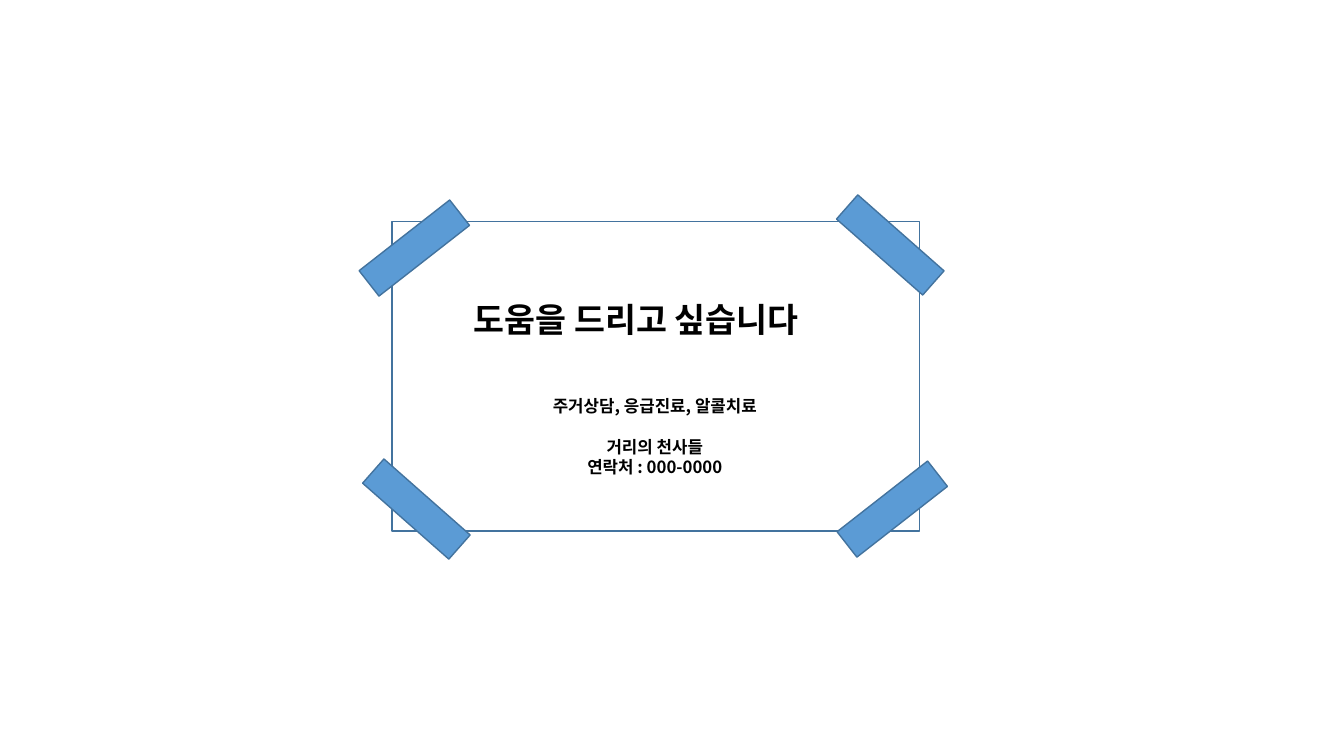
import pptx
import pptx.dml.color
import pptx.enum.shapes
import pptx.enum.text
import pptx.oxml
import pptx.oxml.ns
import pptx.util
from pptx.util import Inches, Pt

FONT = "Noto Sans CJK KR"
BLACK, BLUE, OUTLINE = "000000", "5B9BD5", "43739E"

TITLE = "도움을 드리고 싶습니다"
DETAILS = ["주거상담, 응급진료, 알콜치료", "거리의 천사들", "연락처 : 000-0000"]

CARD = (3.89, 2.2, 5.23, 3.07)
TITLE_AREA = (4.6, 2.92, 3.81, 0.5)
DETAILS_AREA = (5.28, 3.87, 2.43, 0.91)
TAPE_SIZE = (1.14, 0.32)
TAPES = [  # left, top, rotation
    (3.54, 2.3, 322),
    (8.28, 4.89, 322),
    (8.26, 2.27, 221.4),
    (3.56, 4.89, 221.4),
]
LINE_PITCH = 14.6


def color(value):
    return pptx.dml.color.RGBColor.from_string(value)


def add_rectangle(page, area, fill=None, rotation=0):
    box = page.shapes.add_shape(
        pptx.enum.shapes.MSO_SHAPE.RECTANGLE, *map(Inches, area))
    box.shadow.inherit = False
    box.rotation = rotation
    if fill:
        box.fill.solid()
        box.fill.fore_color.rgb = color(fill)
    else:
        box.fill.background()
    box.line.color.rgb = color(OUTLINE)
    box.line.width = Pt(1)


def write_lines(box, lines, size, alignment):
    frame = box.text_frame
    frame.text = "\n".join(lines)
    frame.word_wrap = True
    frame.auto_size = pptx.enum.text.MSO_AUTO_SIZE.NONE
    frame.vertical_anchor = pptx.enum.text.MSO_ANCHOR.MIDDLE
    for para in frame.paragraphs:
        para.alignment = alignment
        for span in para.runs:
            span.font.name = FONT
            span.font.size = Pt(size)
            span.font.bold = True
            span.font.color.rgb = color(BLACK)
            east_asian = pptx.oxml.parse_xml(
                f'<a:ea {pptx.oxml.ns.nsdecls("a")} typeface="{FONT}"/>')
            span.font._element.find(pptx.oxml.ns.qn("a:latin")).addnext(east_asian)


def main():
    deck = pptx.Presentation()
    deck.slide_width, deck.slide_height = Inches(13.33), Inches(7.5)
    page = deck.slides.add_slide(deck.slide_layouts[5])

    add_rectangle(page, CARD)
    for left, top, rotation in TAPES:
        add_rectangle(page, (left, top, *TAPE_SIZE), BLUE, rotation)

    title = page.shapes.title
    title.left, title.top, title.width, title.height = map(Inches, TITLE_AREA)
    write_lines(title, [TITLE], 24, pptx.enum.text.PP_ALIGN.LEFT)

    details = page.shapes.add_textbox(*map(Inches, DETAILS_AREA))
    write_lines(details, DETAILS, 12, pptx.enum.text.PP_ALIGN.CENTER)
    for para in details.text_frame.paragraphs:
        para.line_spacing = Pt(LINE_PITCH)
    details.text_frame.paragraphs[1].space_before = Pt(LINE_PITCH)

    deck.save("out.pptx")


if __name__ == "__main__":
    main()
